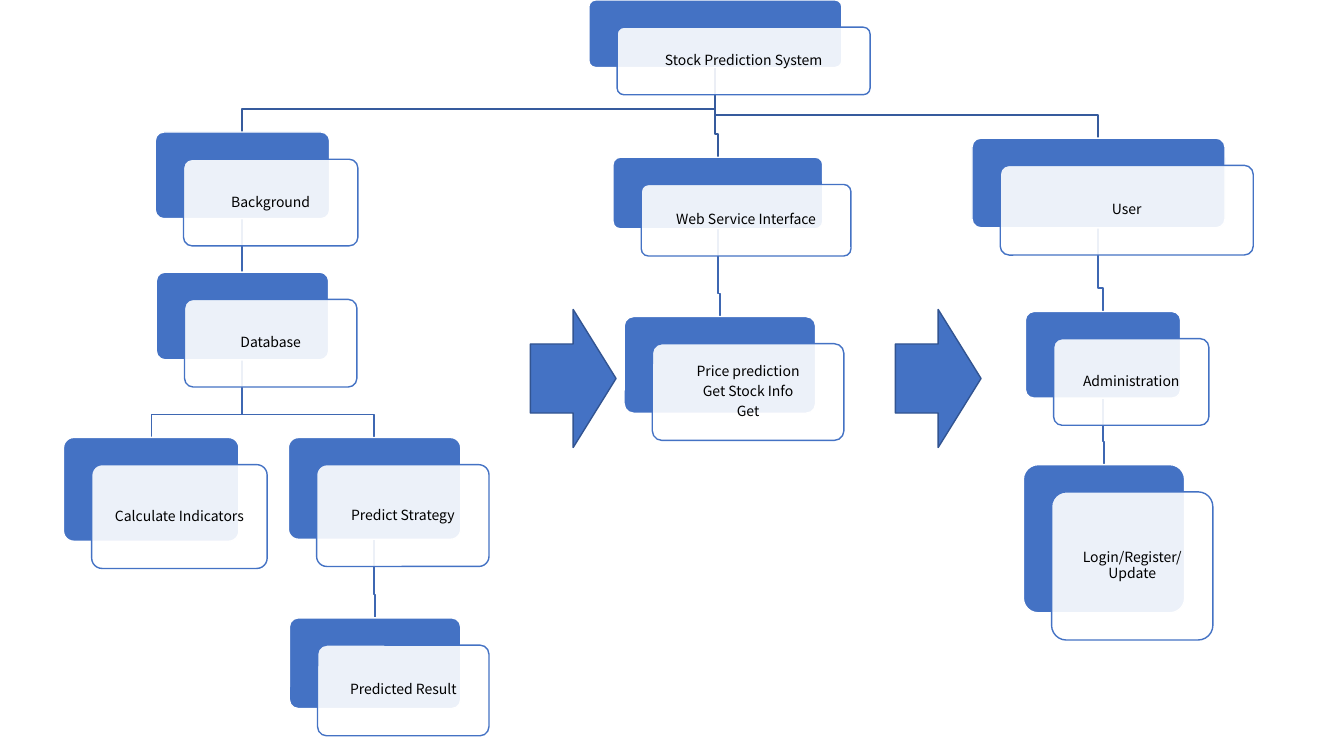
from lxml.etree import SubElement
from pptx import Presentation
from pptx.dml.color import RGBColor
from pptx.enum.shapes import MSO_CONNECTOR, MSO_SHAPE
from pptx.enum.text import MSO_ANCHOR, PP_ALIGN
from pptx.oxml.ns import qn
from pptx.util import Pt

PX = 9144  # 100 px to the inch
FONT = "Noto Sans CJK SC"
BLUE = RGBColor(0x44, 0x72, 0xC4)
WHITE = RGBColor(0xFF, 0xFF, 0xFF)
BLACK = RGBColor(0x00, 0x00, 0x00)
TOP_LINK = RGBColor(0x36, 0x5B, 0x9D)
LOWER_LINK = RGBColor(0x3E, 0x67, 0xB2)
ARROW_EDGE = RGBColor(0x32, 0x54, 0x91)

FRONT_DX, FRONT_DY = 28, 27
BEND_GAP = 23

ROOT = "Stock Prediction System"
# label: (left, top, width, height, parent label)
NODES = {
    ROOT: (584, 0, 251, 67, None),
    "Background": (154, 131, 173, 86, ROOT),
    "Database": (155, 270, 171, 87, "Background"),
    "Calculate Indicators": (63, 434, 174, 103, "Database"),
    "Predict Strategy": (286, 434, 171, 101, "Database"),
    "Predicted Result": (287, 613, 170, 90, "Predict Strategy"),
    "Web Service Interface": (608, 156, 208, 71, ROOT),
    "Price prediction\nGet Stock Info\nGet": (619, 314, 190, 96, "Web Service Interface"),
    "User": (964, 137, 251, 89, ROOT),
    "Administration": (1017, 309, 154, 86, "User"),
    "Login/Register/Update": (1015, 461, 160, 147, "Administration"),
}
ARROWS = [(526, 307, 85, 137), (888, 307, 85, 137)]


def add_box(s, kind, box, fill, edge, opacity=100):
    sp = s.shapes.add_shape(kind, *(v * PX for v in box))
    sp.shadow.inherit = False
    sp.fill.solid()
    sp.fill.fore_color.rgb = fill
    if opacity < 100:
        color = sp.fill._xPr.find(qn("a:solidFill"))[0]
        SubElement(color, qn("a:alpha"), val=str(opacity * 1000))
    sp.line.color.rgb = edge
    sp.line.width = Pt(1)
    return sp


def write_text(sp, text, size=10, color=BLACK, font=FONT, align=PP_ALIGN.CENTER, inset=4):
    tf = sp.text_frame
    tf.word_wrap = True
    tf.vertical_anchor = MSO_ANCHOR.MIDDLE
    tf.margin_left = tf.margin_right = tf.margin_top = tf.margin_bottom = inset * PX
    tf.text = text
    for p in tf.paragraphs:
        p.alignment = align
        p.line_spacing = 0.9
        p.space_after = Pt(size * 0.35)
        for r in p.runs:
            r.font.size = Pt(size)
            r.font.name = font
            r.font.color.rgb = color


def add_node(s, label, box):
    """Draw a blue card with a translucent labelled card in front of it."""
    left, top, width, height = box
    front = (left + FRONT_DX, top + FRONT_DY, width, height)
    cards = [
        add_box(s, MSO_SHAPE.ROUNDED_RECTANGLE, box, BLUE, WHITE),
        add_box(s, MSO_SHAPE.ROUNDED_RECTANGLE, front, WHITE, BLUE, opacity=90),
    ]
    for card in cards:
        card.adjustments[0] = 0.1
    write_text(cards[1], label)


def add_link(s, parent, child, color):
    """Join the bottom of the parent to the top of the child, with a bend if needed."""
    x1, y1 = parent[0] + parent[2] // 2, parent[1] + parent[3]
    x2, y2 = child[0] + child[2] // 2, child[1]
    if x1 == x2:
        sp = s.shapes.add_connector(
            MSO_CONNECTOR.STRAIGHT, x1 * PX, y1 * PX, x2 * PX, y2 * PX)
        SubElement(sp._element.spPr, qn("a:effectLst"))
    else:
        bend = y2 - BEND_GAP
        path = s.shapes.build_freeform(x1, y1, scale=PX)
        path.add_line_segments([(x1, bend), (x2, bend), (x2, y2)], close=False)
        sp = path.convert_to_shape()
        sp.shadow.inherit = False
        sp.fill.background()
    sp.line.color.rgb = color
    sp.line.width = Pt(1)


def main():
    prs = Presentation()
    prs.slide_width, prs.slide_height = 1333 * PX, 750 * PX
    s = prs.slides.add_slide(prs.slide_layouts[6])
    for *box, parent in NODES.values():
        if parent:
            color = TOP_LINK if parent == ROOT else LOWER_LINK
            add_link(s, NODES[parent], box, color)
    for label, (*box, _) in NODES.items():
        add_node(s, label, box)
    for box in ARROWS:
        add_box(s, MSO_SHAPE.RIGHT_ARROW, box, BLUE, ARROW_EDGE)
    prs.save("out.pptx")


if __name__ == "__main__":
    main()
